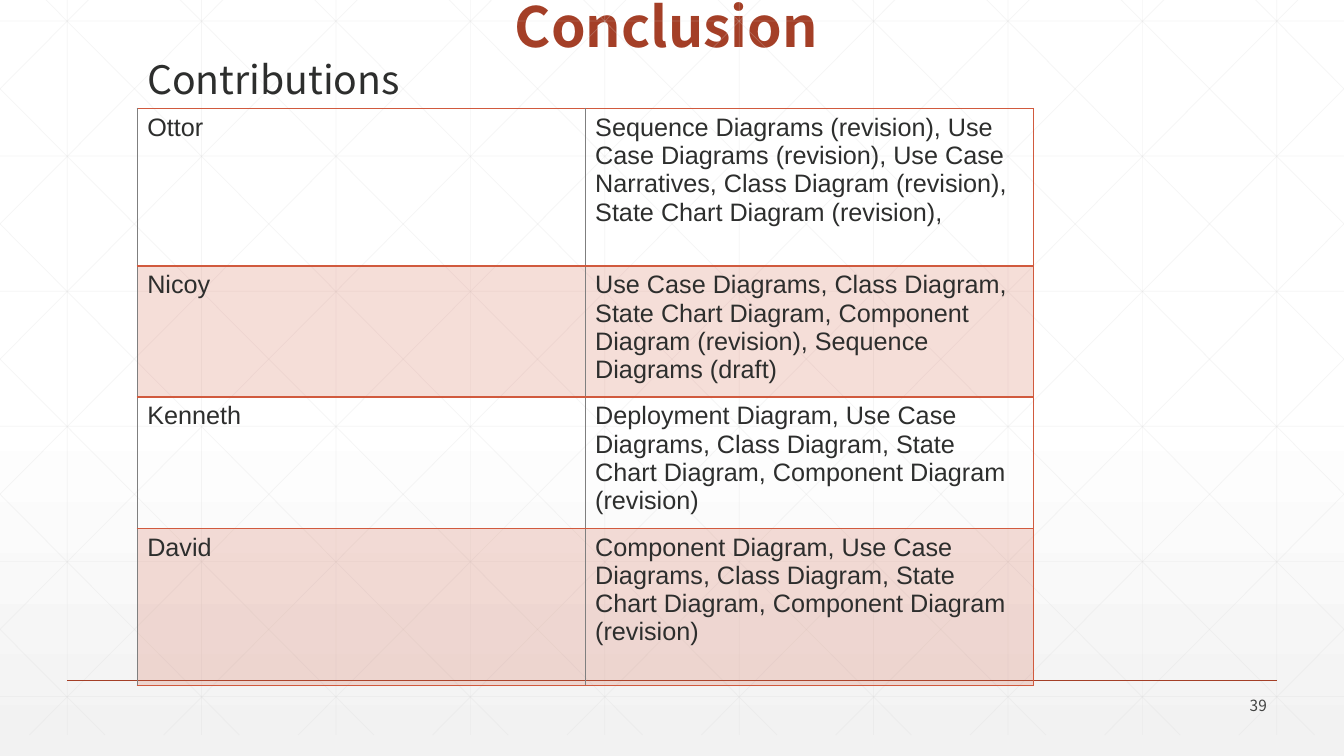
from lxml import etree
from pptx import Presentation
from pptx import util as u
from pptx.dml.color import RGBColor
from pptx.enum import shapes, text
from pptx.oxml import ns

TITLE = "Conclusion"
SUBTITLE = "Contributions"
PAGE_NUMBER = "39"
CONTRIBUTIONS = [
    ("Ottor", "Sequence Diagrams (revision), Use Case Diagrams (revision), "
              "Use Case Narratives, Class Diagram (revision), "
              "State Chart Diagram (revision),"),
    ("Nicoy", "Use Case Diagrams, Class Diagram, State Chart Diagram, "
              "Component Diagram (revision), Sequence Diagrams (draft)"),
    ("Kenneth", "Deployment Diagram, Use Case Diagrams, Class Diagram, "
                "State Chart Diagram, Component Diagram (revision)"),
    ("David", "Component Diagram, Use Case Diagrams, Class Diagram, "
              "State Chart Diagram, Component Diagram (revision)"),
]
ROW_HEIGHTS = [112.5, 91.25, 91.25, 112.5]
COLUMN_WIDTH = 320

WIDTH, HEIGHT = 960, 540
GRID_TOP, GRID_BOTTOM, GRID_STEP = -15, 525, 96
DIAGONAL_START, DIAGONAL_RUN = 18, 537

SANS = "Noto Sans CJK SC"
RUST, ORANGE, INK, GREY = "A43F27", "D15A3E", "2D2E2D", "7F7F7F"
TITLE_FORMAT = {"name": SANS, "size": u.Pt(39.6), "bold": True}
SUBTITLE_FORMAT = {"name": SANS, "size": u.Pt(28), "bold": False}
NUMBER_FORMAT = {"name": SANS, "size": u.Pt(11)}
CELL_FORMAT = {"name": "Arial", "size": u.Pt(18), "bold": False}


def color(value):
    return RGBColor.from_string(value)


def set_alpha(parent, percent):
    """Make every colour below an XML element partly transparent."""
    for tint in parent.iter(ns.qn("a:srgbClr")):
        etree.SubElement(tint, ns.qn("a:alpha"), val=str(percent * 1000))


def write(frame, words, font, ink, **layout):
    """Fill a text frame with one formatted paragraph."""
    frame.word_wrap = True
    para = frame.paragraphs[0]
    for name, value in layout.items():
        setattr(para, name, value)
    span = para.add_run()
    span.text = words
    for name, value in font.items():
        setattr(span.font, name, value)
    span.font.color.rgb = color(ink)


def add_line(page, start, end, ink, width, alpha=100):
    line = page.shapes.add_connector(
        shapes.MSO_CONNECTOR.STRAIGHT, *[u.Pt(value) for value in (*start, *end)])
    line.line.color.rgb = color(ink)
    line.line.width = u.Pt(width)
    properties = line._element.spPr
    if alpha < 100:
        set_alpha(properties, alpha)
    etree.SubElement(properties, ns.qn("a:effectLst"))


def grid_lines():
    """Yield the ends of the vertical, horizontal and diagonal lines."""
    for i in range(10):
        x = 48 + i * GRID_STEP
        yield (x, GRID_TOP), (x, GRID_BOTTOM)
    for i in range(6):
        y = 15 + i * 96.5
        yield (0, y), (WIDTH, y)
    slope = (GRID_BOTTOM - GRID_TOP) / DIAGONAL_RUN
    for i in range(-5, 10):
        first = DIAGONAL_START + i * GRID_STEP
        left, right = max(first, 0), min(first + DIAGONAL_RUN, WIDTH)
        top, bottom = [GRID_TOP + (x - first) * slope for x in (left, right)]
        yield (left, top), (right, bottom)
        yield (WIDTH - left, top), (WIDTH - right, bottom)


def set_borders(cell, borders):
    properties = cell._tc.get_or_add_tcPr()
    for position, (side, (ink, width)) in enumerate(borders.items()):
        edge = etree.Element(ns.qn("a:" + side), w=str(u.Pt(width)))
        fill = etree.SubElement(edge, ns.qn("a:solidFill"))
        etree.SubElement(fill, ns.qn("a:srgbClr"), val=ink)
        properties.insert(position, edge)


def place(shape, left, top, width, height):
    shape.left, shape.top = u.Pt(left), u.Pt(top)
    shape.width, shape.height = u.Pt(width), u.Pt(height)


def add_contributions(page):
    frame = page.shapes.add_table(
        len(CONTRIBUTIONS), 2, u.Pt(98), u.Pt(77.5),
        u.Pt(2 * COLUMN_WIDTH), u.Pt(sum(ROW_HEIGHTS)))
    table = frame.table
    table.first_row = table.horz_banding = False
    for column in table.columns:
        column.width = u.Pt(COLUMN_WIDTH)
    for i, entry in enumerate(CONTRIBUTIONS):
        table.rows[i].height = u.Pt(ROW_HEIGHTS[i])
        for j, words in enumerate(entry):
            cell = table.cell(i, j)
            write(cell.text_frame, words, CELL_FORMAT, INK)
            if i % 2:
                cell.fill.solid()
                cell.fill.fore_color.rgb = color(ORANGE)
                set_alpha(cell._tc.tcPr, 20)
            else:
                cell.fill.background()
            set_borders(cell, {
                "lnL": (GREY, 1),
                "lnR": (ORANGE if j else GREY, 1),
                "lnT": (ORANGE, 1 if i in (0, 3) else 2),
                "lnB": (ORANGE, 2 if i < 2 else 1),
            })


def main():
    deck = Presentation()
    deck.slide_width, deck.slide_height = u.Pt(WIDTH), u.Pt(HEIGHT)
    page = deck.slides.add_slide(deck.slide_layouts[5])

    backdrop = page.background.fill
    backdrop.gradient()
    backdrop.gradient_angle = 270
    for stop, (position, tint) in zip(
            backdrop.gradient_stops, [(0.53, "FFFFFF"), (1, "F2F2F2")]):
        stop.position = position
        stop.color.rgb = color(tint)

    for start, end in grid_lines():
        add_line(page, start, end, "D9D9D9", 0.5, alpha=25)
    add_line(page, (48, 486), (912, 486), RUST, 1)

    title = page.shapes.title
    place(title, 102, 0, 748, 90)
    title.text_frame.vertical_anchor = text.MSO_ANCHOR.TOP
    title.text_frame.margin_top = 0
    write(title.text_frame, TITLE, TITLE_FORMAT, RUST,
          alignment=text.PP_ALIGN.CENTER, line_spacing=0.9)

    number = page.shapes.add_textbox(u.Pt(840), u.Pt(495), u.Pt(72), u.Pt(17))
    number.text_frame.vertical_anchor = text.MSO_ANCHOR.MIDDLE
    write(number.text_frame, PAGE_NUMBER, NUMBER_FORMAT, "424342",
          alignment=text.PP_ALIGN.RIGHT)

    subtitle = page.shapes.add_textbox(u.Pt(98), u.Pt(39.5), u.Pt(756), u.Pt(300))
    write(subtitle.text_frame, SUBTITLE, SUBTITLE_FORMAT, INK, line_spacing=0.9)

    add_contributions(page)
    deck.save("out.pptx")


if __name__ == "__main__":
    main()
